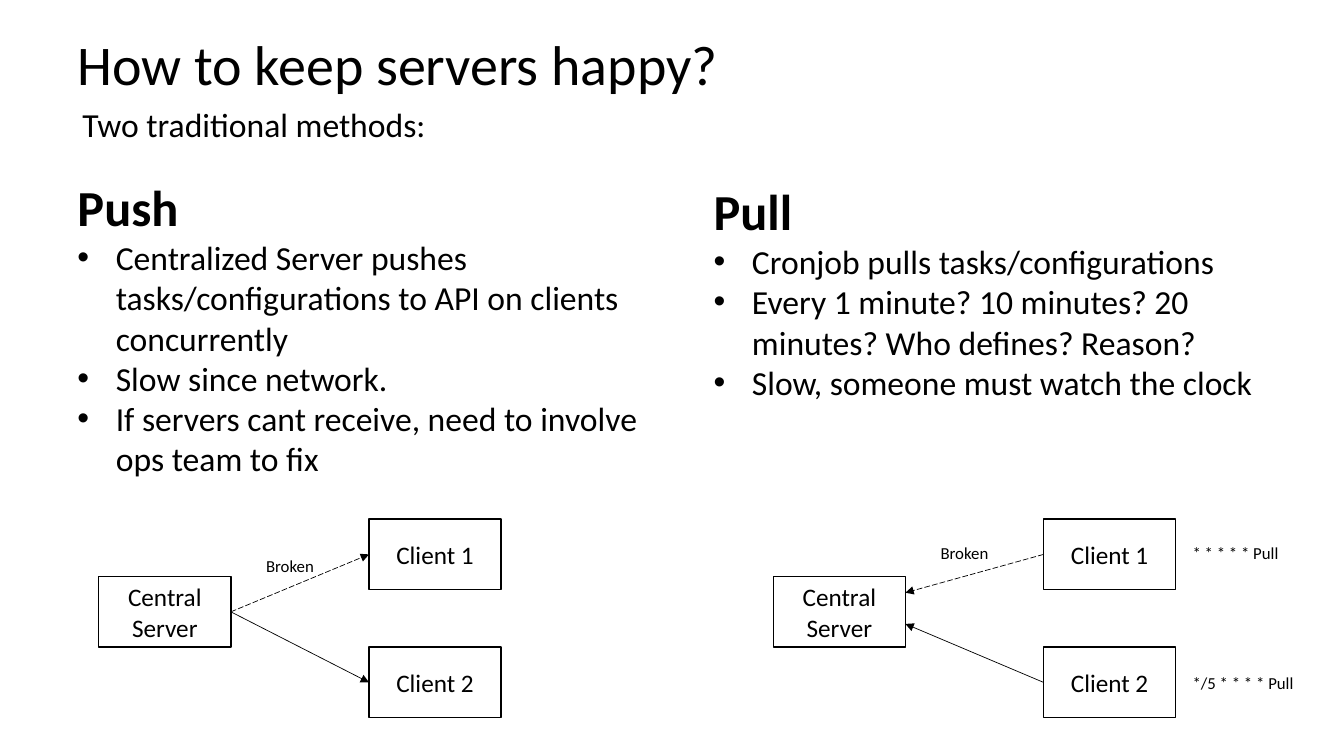
import dataclasses
import pptx
import pptx.util
import pptx.dml.color
import pptx.enum.dml
import pptx.enum.shapes
import pptx.enum.text
import pptx.oxml.ns
import lxml.etree

PX = 9144
BOX_W, BOX_H = 131, 70


@dataclasses.dataclass(frozen=True)
class Theme:
    font: str = "Calibri"
    ink: str = "000000"
    title: int = 40
    head: int = 36
    body: int = 24
    box: int = 18
    note: int = 12
    edge: float = 1
    arrow: float = 0.5


THEME = Theme()


def px(*nums):
    return [pptx.util.Emu(n * PX) for n in nums]


def ink():
    return pptx.dml.color.RGBColor.from_string(THEME.ink)


def style(para, size, bold=False):
    para.font.name = THEME.font
    para.font.size = pptx.util.Pt(size)
    para.font.bold = bold
    para.font.color.rgb = ink()


def sub(node, tag, **attrs):
    return lxml.etree.SubElement(node, pptx.oxml.ns.qn(tag), **attrs)


def bullet(para):
    props = para._p.get_or_add_pPr()
    indent = 38 * PX
    props.set("marL", str(indent))
    props.set("indent", str(-indent))
    sub(props, "a:buFont", typeface="Arial")
    sub(props, "a:buChar", char="•")


def fit(frame, wrap):
    frame.word_wrap = wrap
    frame.auto_size = pptx.enum.text.MSO_AUTO_SIZE.SHAPE_TO_FIT_TEXT


def title(slide, text, x, y, w, h):
    shape = slide.shapes.title
    shape.left, shape.top, shape.width, shape.height = px(x, y, w, h)
    frame = shape.text_frame
    frame.text = text
    frame.vertical_anchor = pptx.enum.text.MSO_ANCHOR.TOP
    fit(frame, False)
    para = frame.paragraphs[0]
    para.alignment = pptx.enum.text.PP_ALIGN.LEFT
    style(para, THEME.title)


def label(slide, text, x, y, w, h, size):
    frame = slide.shapes.add_textbox(*px(x, y, w, h)).text_frame
    frame.text = text
    fit(frame, False)
    style(frame.paragraphs[0], size)


def column(slide, head, items, x, y, h):
    frame = slide.shapes.add_textbox(*px(x, y, 598, h)).text_frame
    frame.text = head
    fit(frame, True)
    style(frame.paragraphs[0], THEME.head, True)
    for item in items:
        para = frame.add_paragraph()
        para.text = item
        style(para, THEME.body)
        bullet(para)


def box(slide, text, x, y):
    kind = pptx.enum.shapes.MSO_SHAPE.RECTANGLE
    shape = slide.shapes.add_shape(kind, *px(x, y, BOX_W, BOX_H))
    shape.shadow.inherit = False
    shape.fill.background()
    shape.line.color.rgb = ink()
    shape.line.width = pptx.util.Pt(THEME.edge)
    frame = shape.text_frame
    frame.text = text
    frame.vertical_anchor = pptx.enum.text.MSO_ANCHOR.MIDDLE
    para = frame.paragraphs[0]
    para.alignment = pptx.enum.text.PP_ALIGN.CENTER
    style(para, THEME.box)


def arrow(slide, start, end, dashed):
    kind = pptx.enum.shapes.MSO_CONNECTOR.STRAIGHT
    link = slide.shapes.add_connector(kind, *px(*start, *end))
    link.line.color.rgb = ink()
    link.line.width = pptx.util.Pt(THEME.arrow)
    if dashed:
        link.line.dash_style = pptx.enum.dml.MSO_LINE.LONG_DASH
    sub(link.line._get_or_add_ln(), "a:tailEnd", type="triangle")
    sub(link._element.spPr, "a:effectLst")


def diagram(slide, x, ports, pull, note_y):
    hub_x, peer_x = x + BOX_W, x + 268
    box(slide, "Central Server", x, 572)
    rows = zip(("Client 1", "Client 2"), (515, 642), (True, False), ports)
    for name, y, broken, port in rows:
        box(slide, name, peer_x, y)
        ends = [(hub_x, port), (peer_x, y + BOX_H // 2)]
        if pull:
            ends.reverse()
        arrow(slide, *ends, broken)
    label(slide, "Broken", x + 156, note_y, 68, 30, THEME.note)


def main():
    deck = pptx.Presentation()
    deck.slide_width, deck.slide_height = px(1333, 750)
    slide = deck.slides.add_slide(deck.slide_layouts[5])
    title(slide, "How to keep servers happy?", 67, 24, 681, 77)
    label(slide, "Two traditional methods:", 72, 98, 364, 50, THEME.body)
    column(slide, "Push", (
        "Centralized Server pushes tasks/configurations to API on clients concurrently",
        "Slow since network.",
        "If servers cant receive, need to involve ops team to fix",
    ), 67, 170, 367)
    column(slide, "Pull", (
        "Cronjob pulls tasks/configurations",
        "Every 1 minute? 10 minutes? 20 minutes? Who defines? Reason?",
        "Slow, someone must watch the clock",
    ), 698, 174, 232)
    diagram(slide, 98, (607, 607), False, 546)
    diagram(slide, 767, (588, 619), True, 534)
    label(slide, "* * * * * Pull", 1173, 534, 107, 30, THEME.note)
    label(slide, "*/5 * * * * Pull", 1173, 662, 122, 30, THEME.note)
    deck.save("out.pptx")


if __name__ == "__main__":
    main()
